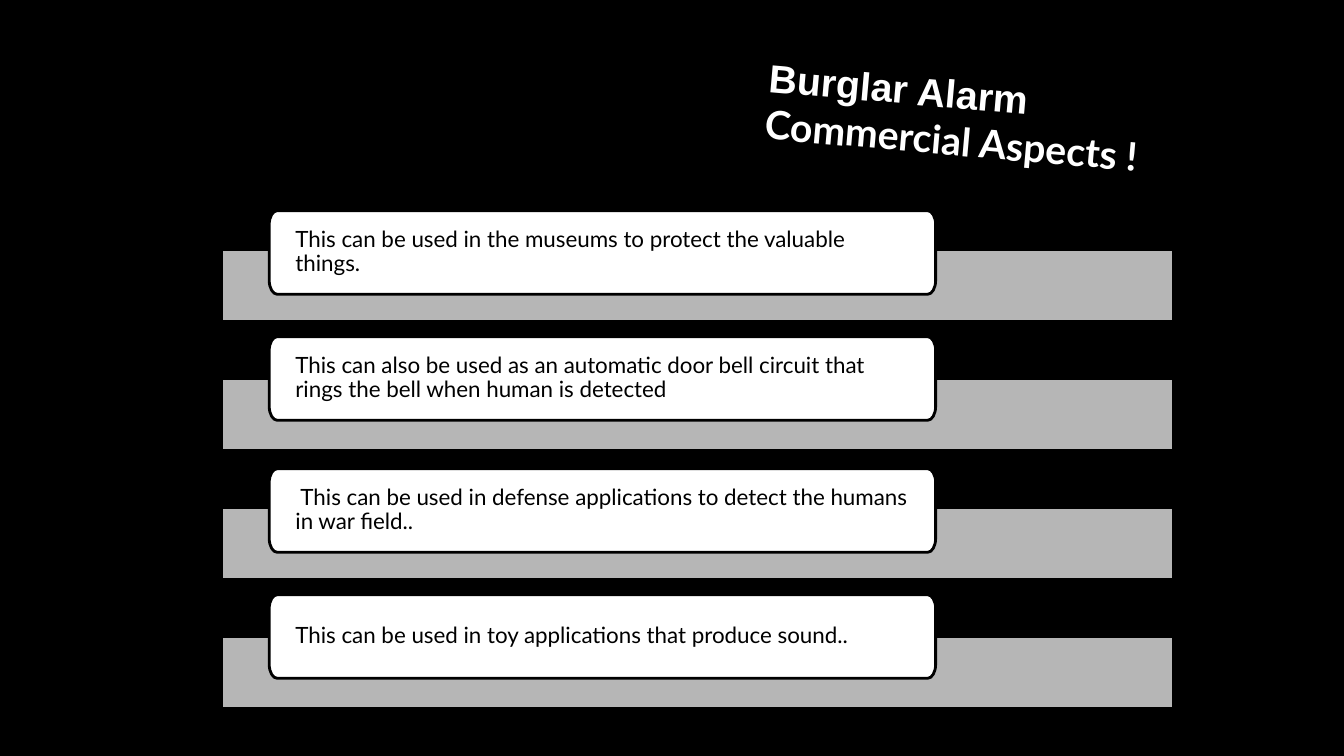
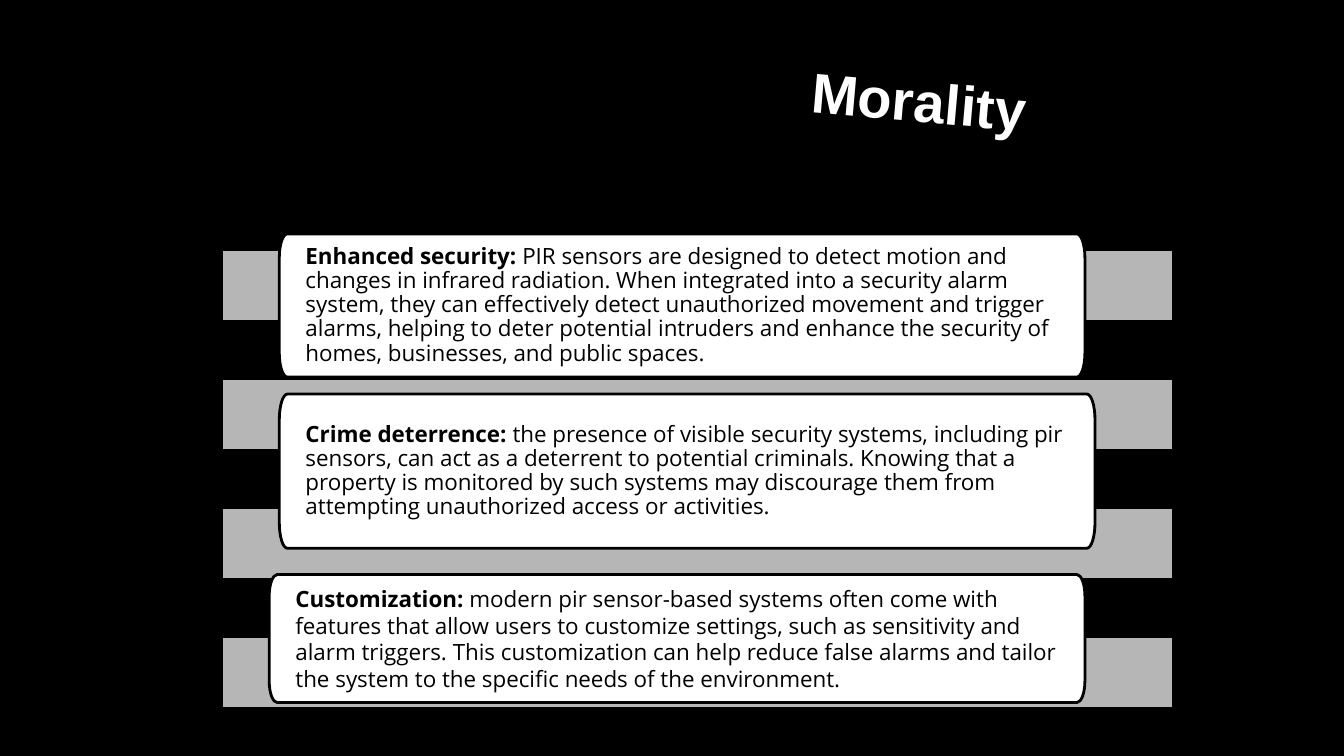
from dataclasses import dataclass

from pptx import Presentation
from pptx.dml.color import RGBColor
from pptx.enum.shapes import MSO_SHAPE
from pptx.enum.text import MSO_ANCHOR, MSO_AUTO_SIZE, PP_ALIGN
from pptx.oxml.ns import qn
from pptx.util import Pt
from lxml.etree import SubElement

PX = 9144  # EMU in one px, 100 px to the inch


@dataclass(frozen=True)
class Theme:
    black: RGBColor = RGBColor(0x00, 0x00, 0x00)
    white: RGBColor = RGBColor(0xFF, 0xFF, 0xFF)
    band: RGBColor = RGBColor(0xCA, 0xCA, 0xCA)
    band_alpha: int = 90000
    heading: str = "Arial"
    sans: str = "Lato"
    body: str = "Open Sans"
    title_size: Pt = Pt(28)
    big_title_size: Pt = Pt(40)
    text_size: Pt = Pt(16)
    line: Pt = Pt(2)


T = Theme()
BAND = dict(left=220, top=248, width=944, height=71, step=128, count=4)
CORNER = 8
CURVE = 0.55  # how far a curve's handles reach towards its corner
TITLE_INDENT = 43

# title: (height, indent, [(text, font, size)])
# cards: (left, top, width, height, line spacing, [(text, bold)])
SLIDES = [
    dict(
        title=(104, 0, [("Burglar Alarm", T.heading, T.title_size),
                        ("Commercial Aspects !", T.sans, T.title_size)]),
        font=T.sans,
        cards=[
            (267, top, 661, 83, 0.9, [(text, False)])
            for top, text in [
                (209, "This can be used in the museums to protect the valuable things."),
                (334, "This can also be used as an automatic door bell circuit that "
                      "rings the bell when human is detected"),
                (465, " This can be used in defense applications to detect the humans "
                      "in war field.."),
                (590, "This can be used in toy applications that produce sound.."),
            ]
        ],
    ),
    dict(
        title=(124, TITLE_INDENT, [("Morality", T.heading, T.big_title_size)]),
        font=T.body,
        cards=[
            (277, 232, 799, 142, 0.9, [
                ("Enhanced security:", True),
                (" PIR sensors are designed to detect motion and changes in infrared "
                 "radiation. When integrated into a security alarm system, they can "
                 "effectively detect unauthorized movement and trigger alarms, helping "
                 "to deter potential intruders and enhance the security of homes, "
                 "businesses, and public spaces.", False)]),
            (277, 391, 809, 153, 0.9, [
                ("Crime deterrence:", True),
                (" the presence of visible security systems, including pir sensors, can "
                 "act as a deterrent to potential criminals. Knowing that a property is "
                 "monitored by such systems may discourage them from attempting "
                 "unauthorized access or activities.", False)]),
            (267, 570, 809, 127, 1.0, [
                ("Customization:", True),
                (" modern pir sensor-based systems often come with features that allow "
                 "users to customize settings, such as sensitivity and alarm triggers. "
                 "This customization can help reduce false alarms and tailor the system "
                 "to the specific needs of the environment.", False)]),
        ],
    ),
]


def add_card(s, x, y, w, h):
    """Add a box whose rounded corners are a sixth of its height tall."""
    x, y, w, h, rx, ry = (round(v * PX) for v in (x, y, w, h, CORNER, h / 6))
    right, bottom = x + w, y + h
    start = (x, y + ry)
    outline = s.shapes.build_freeform(*start)
    outline.add_line_segments([
        (x + rx, y), (right - rx, y), (right, y + ry), (right, bottom - ry),
        (right - rx, bottom), (x + rx, bottom), (x, bottom - ry), start], close=True)
    card = outline.convert_to_shape()

    # Every other segment cuts a corner: turn it into a curve.
    points = list(card._element.iter(qn("a:pt")))
    xy = [(int(pt.get("x")), int(pt.get("y"))) for pt in points]
    for i, corner in enumerate([(0, 0), (w, 0), (w, h), (0, h)]):
        segment = points[2 * i + 1].getparent()
        segment.tag = qn("a:cubicBezTo")
        for j, end in enumerate(xy[2 * i:2 * i + 2]):
            handle = segment.makeelement(qn("a:pt"))
            for axis, e, c in zip("xy", end, corner):
                handle.set(axis, str(round(e + (c - e) * CURVE)))
            segment.insert(j, handle)
    return card


def add_run(p, text, color, **fmt):
    r = p.add_run()
    r.text = text
    r.font.color.rgb = color
    for name, value in fmt.items():
        setattr(r.font, name, value)


prs = Presentation()
prs.slide_width, prs.slide_height = 1333 * PX, 750 * PX
bg = prs.slide_master.background.fill
bg.solid()
bg.fore_color.rgb = T.black

for content in SLIDES:
    s = prs.slides.add_slide(prs.slide_layouts[5])

    height, indent, lines = content["title"]
    title = s.shapes.title
    box = dict(left=750 * PX, top=69 * PX, width=506 * PX, height=height * PX, rotation=5.1)
    for name, value in box.items():
        setattr(title, name, value)
    tf = title.text_frame
    tf.word_wrap = True
    tf.vertical_anchor = MSO_ANCHOR.TOP
    tf.auto_size = MSO_AUTO_SIZE.SHAPE_TO_FIT_TEXT
    for i, (text, font, size) in enumerate(lines):
        p = tf.add_paragraph() if i else tf.paragraphs[0]
        p.alignment = PP_ALIGN.LEFT
        if indent:
            p._p.get_or_add_pPr().set("marL", str(indent * PX))
        add_run(p, text, T.white, name=font, size=size, bold=True)

    for i in range(BAND["count"]):
        band = s.shapes.add_shape(
            MSO_SHAPE.RECTANGLE, BAND["left"] * PX, (BAND["top"] + i * BAND["step"]) * PX,
            BAND["width"] * PX, BAND["height"] * PX)
        band.shadow.inherit = False
        band.fill.solid()
        band.fill.fore_color.rgb = T.band
        color = band._element.spPr.find(qn("a:solidFill")).find(qn("a:srgbClr"))
        SubElement(color, qn("a:alpha")).set("val", str(T.band_alpha))
        band.line.color.rgb = T.black
        band.line.width = T.line

    for x, y, w, h, spacing, runs in content["cards"]:
        card = add_card(s, x, y, w, h)
        card.shadow.inherit = False
        card.fill.solid()
        card.fill.fore_color.rgb = T.white
        card.line.color.rgb = T.black
        card.line.width = T.line
        tf = card.text_frame
        frame = dict(word_wrap=True, vertical_anchor=MSO_ANCHOR.MIDDLE,
                     margin_left=26 * PX, margin_right=26 * PX,
                     margin_top=2 * PX, margin_bottom=2 * PX)
        for name, value in frame.items():
            setattr(tf, name, value)
        p = tf.paragraphs[0]
        p.alignment = PP_ALIGN.LEFT
        p.line_spacing = spacing
        for text, bold in runs:
            add_run(p, text, T.black, name=content["font"], size=T.text_size, bold=bold)

prs.save("out.pptx")
